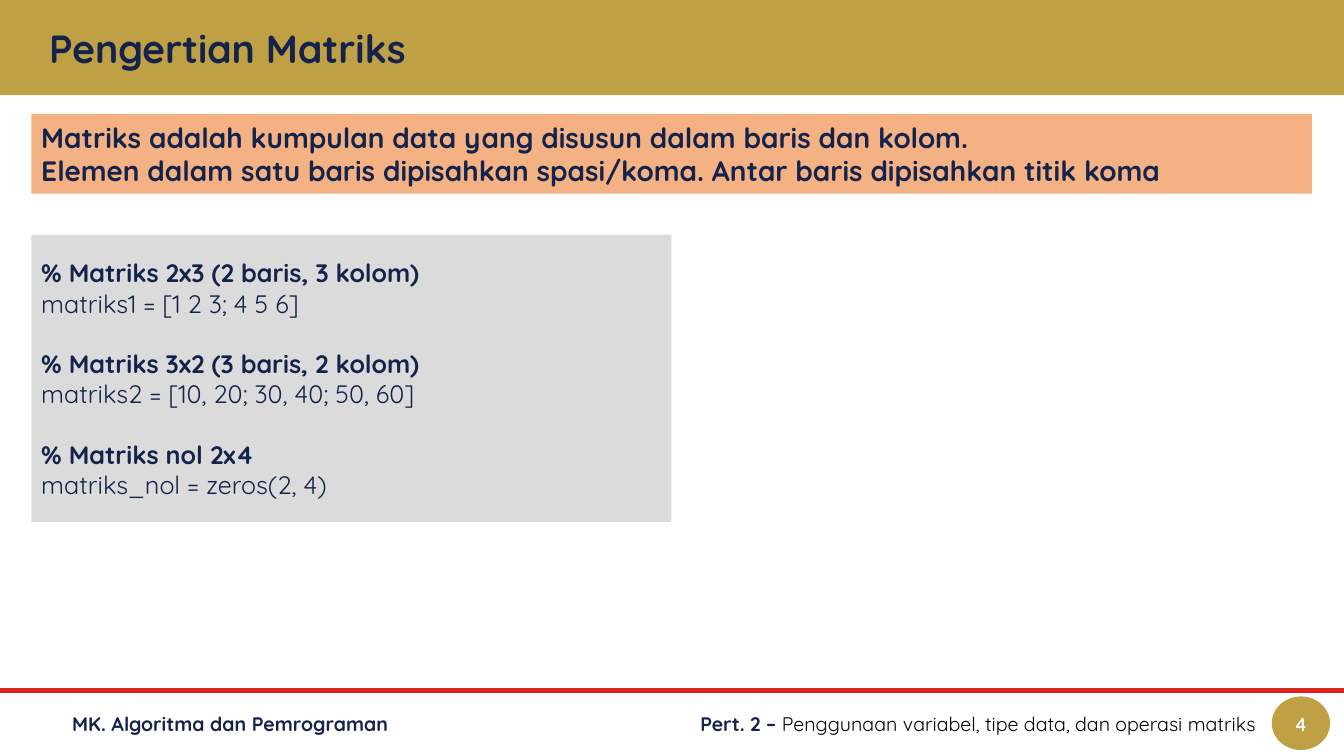
from lxml import etree
from pptx import Presentation
from pptx.dml.color import RGBColor
from pptx.enum.shapes import MSO_CONNECTOR, MSO_SHAPE
from pptx.enum.text import MSO_ANCHOR, PP_ALIGN
from pptx.oxml.ns import qn
from pptx.util import Cm, Pt

RECT, OVAL = MSO_SHAPE.RECTANGLE, MSO_SHAPE.OVAL
LEFT, CENTER, RIGHT = PP_ALIGN.LEFT, PP_ALIGN.CENTER, PP_ALIGN.RIGHT
MIDDLE = MSO_ANCHOR.MIDDLE
STRAIGHT = MSO_CONNECTOR.STRAIGHT

COLORS = {
    "gold": "BFA045", "navy": "13234B", "red": "DA251C", "peach": "F4B183",
    "gray": "DBDBDB", "white": "FFFFFF", "black": "000000",
}
SLIDE_W, SLIDE_H = 33.87, 19.05
FOOTER_Y, FOOTER_H = 17.55, 1.35
CONTENT_X = 0.79

CODE_EXAMPLES = [
    ("% Matriks 2x3 (2 baris, 3 kolom)", "matriks1 = [1 2 3; 4 5 6]"),
    ("% Matriks 3x2 (3 baris, 2 kolom)", "matriks2 = [10, 20; 30, 40; 50, 60]"),
    ("% Matriks nol 2x4", "matriks_nol = zeros(2, 4)"),
]


def rgb(name):
    return RGBColor.from_string(COLORS[name])


def add_text(p, text, size=14, color="navy", bold=True, font="Quicksand"):
    r = p.add_run()
    r.text = text
    r.font.name = font
    r.font.size = Pt(size)
    r.font.bold = bold
    r.font.color.rgb = rgb(color)


class SlideBuilder:
    """Holds the current slide and the style shared by its elements."""

    inset = 0.25

    def __init__(self, slide):
        self.slide = slide

    def frame(self, sp, inset):
        tf = sp.text_frame
        tf.word_wrap = True
        tf.vertical_anchor = MIDDLE
        tf.margin_left = tf.margin_right = Cm(inset)
        tf.margin_top = tf.margin_bottom = Cm(inset)
        return tf

    def shape(self, kind, x, y, w, h, fill, inset=inset):
        sp = self.slide.shapes.add_shape(kind, Cm(x), Cm(y), Cm(w), Cm(h))
        sp.shadow.inherit = False
        sp.fill.solid()
        sp.fill.fore_color.rgb = rgb(fill)
        sp.line.fill.background()
        return self.frame(sp, inset)

    def textbox(self, x, y, w, h):
        sp = self.slide.shapes.add_textbox(Cm(x), Cm(y), Cm(w), Cm(h))
        return self.frame(sp, self.inset)

    def line(self, x1, y1, x2, y2, color, width):
        cn = self.slide.shapes.add_connector(
            STRAIGHT, Cm(x1), Cm(y1), Cm(x2), Cm(y2))
        cn.line.color.rgb = rgb(color)
        cn.line.width = Pt(width)
        etree.SubElement(cn._element.spPr, qn("a:effectLst"))

    def paragraph(self, tf, index, align=LEFT, before=0):
        p = tf.add_paragraph() if index else tf.paragraphs[0]
        p.alignment = align
        if before:
            p.space_before = Pt(before)
        return p


def add_header(b):
    b.shape(RECT, 0, 0, SLIDE_W, 2.4, "gold")
    title = b.textbox(0.99, 0.53, 31.88, 1.35)
    add_text(b.paragraph(title, 0), "Pengertian Matriks", size=28)


def add_footer(b):
    b.line(0, 17.4, SLIDE_W, 17.4, "red", 3)
    course = b.textbox(1.57, FOOTER_Y, 13.44, FOOTER_H)
    add_text(b.paragraph(course, 0), "MK. Algoritma dan Pemrograman")

    number = b.shape(OVAL, 32.05, FOOTER_Y, 1.47, FOOTER_H, "gold", inset=0)
    add_text(b.paragraph(number, 0, CENTER), "4", color="white", font="Calibri")

    topic = b.textbox(16.54, FOOTER_Y, 15.37, FOOTER_H)
    p = b.paragraph(topic, 0, RIGHT)
    add_text(p, "Pert. 2 – ")
    add_text(p, "Penggunaan variabel, tipe data, dan operasi matriks",
             color="black", bold=False)


def add_definition(b):
    tf = b.shape(RECT, CONTENT_X, 2.87, 32.27, 2.01, "peach")
    lines = [
        "Matriks adalah kumpulan data yang disusun dalam baris dan kolom.",
        "Elemen dalam satu baris dipisahkan spasi/koma. "
        "Antar baris dipisahkan titik koma",
    ]
    for i, text in enumerate(lines):
        add_text(b.paragraph(tf, i), text, size=20)


def add_code(b):
    tf = b.shape(RECT, CONTENT_X, 5.92, 16.13, 7.24, "gray")
    for i, (comment, code) in enumerate(CODE_EXAMPLES):
        heading = b.paragraph(tf, i, before=21.5 if i else 0)
        add_text(heading, comment, size=18)
        add_text(b.paragraph(tf, 1), code, size=18, bold=False)


def main():
    prs = Presentation()
    prs.slide_width, prs.slide_height = Cm(SLIDE_W), Cm(SLIDE_H)
    b = SlideBuilder(prs.slides.add_slide(prs.slide_layouts[6]))
    add_header(b)
    add_footer(b)
    add_definition(b)
    add_code(b)
    prs.save("out.pptx")


if __name__ == "__main__":
    main()
